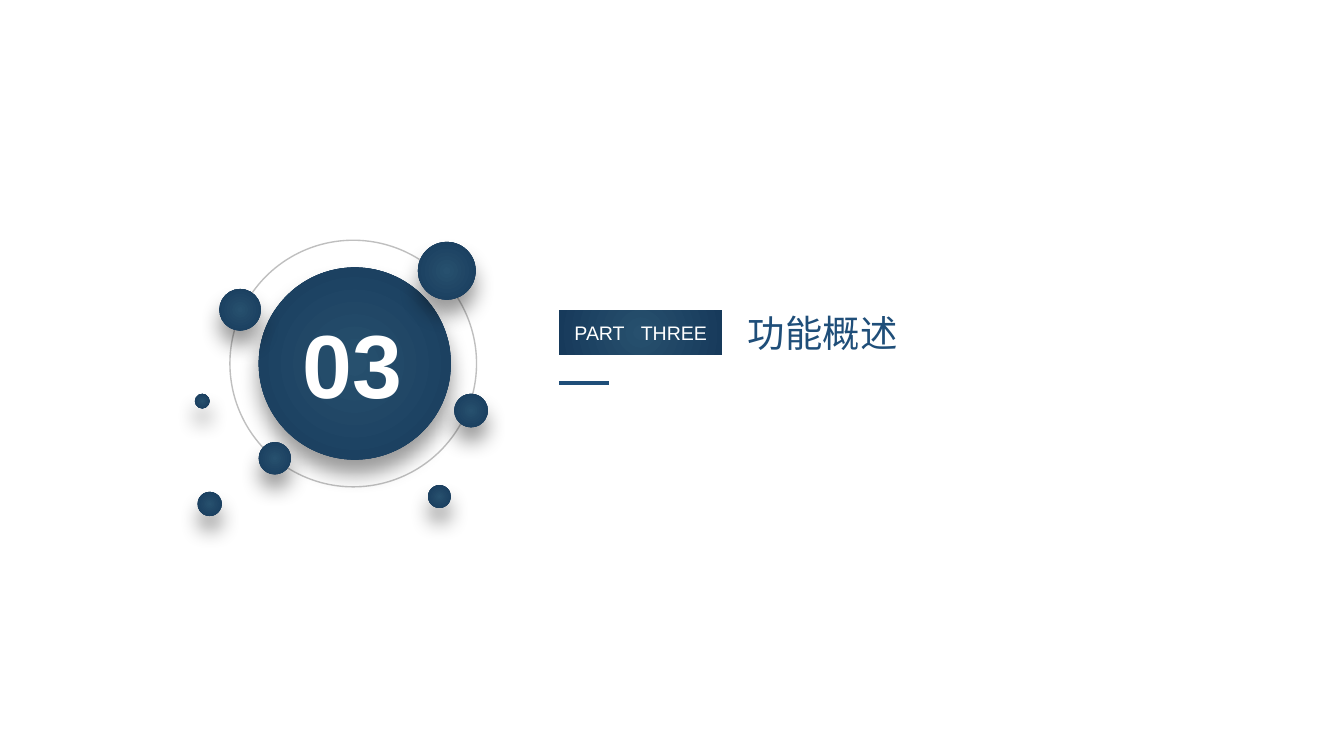
"""Build the section divider slide for part three."""
from dataclasses import dataclass

from lxml.etree import SubElement
from pptx import Presentation
from pptx.dml.color import RGBColor
from pptx.enum.shapes import MSO_CONNECTOR, MSO_SHAPE
from pptx.enum.text import MSO_ANCHOR, MSO_AUTO_SIZE, PP_ALIGN
from pptx.oxml.ns import qn
from pptx.util import Inches, Pt


@dataclass(frozen=True)
class Theme:
    font: str = "Arial"
    glow: str = "27506E"
    edge: str = "173A5B"
    accent: str = "1F4E79"
    orbit: str = "BFBFBF"
    light: str = "FFFFFF"
    shade: str = "000000"
    number_size: float = 48
    title_size: float = 20
    label_size: float = 10.5


THEME = Theme()
WIDTH = Inches(10)
HEIGHT = WIDTH * 9 // 16
UNIT = WIDTH / 100

NUMBER = "03"
TITLE = "功能概述"
LABEL = ["PART", " ", "THREE"]
LABEL_GAP = Pt(5.8)

ORBIT = (26.28, 27.05, 18.35)
DISC = (26.4, 27.05, 14.3)
DOTS = [
    (33.25, 20.15, 4.3),
    (17.87, 23.05, 3.1),
    (15.6, 37.5, 1.8),
    (20.45, 34.1, 2.4),
    (35.05, 30.55, 2.5),
    (32.7, 36.95, 1.7),
    (15.05, 29.85, 1.1),
]
NUMBER_AREA = (21.5, 22.5, 9.5, 9.1)
TITLE_AREA = (54.65, 22.6, 13.5, 4.4)
LABEL_AREA = (41.6, 23.1, 12.15, 3.3)
RULE = (41.6, 28.53, 45.3, 28.53)


def scaled(area):
    return [round(value * UNIT) for value in area]


def colour(code):
    return RGBColor.from_string(code)


def write(box, spans, size, ink, bold=False, align=PP_ALIGN.LEFT,
          anchor=MSO_ANCHOR.TOP, wrap=False, grow=True, gap=0):
    frame = box.text_frame
    frame.word_wrap = wrap
    frame.auto_size = MSO_AUTO_SIZE.SHAPE_TO_FIT_TEXT if grow else MSO_AUTO_SIZE.NONE
    frame.vertical_anchor = anchor
    para = frame.paragraphs[0]
    para.alignment = align
    for text in spans:
        span = para.add_run()
        span.text = text
        span.font.name = THEME.font
        span.font.size = Pt(size)
        span.font.bold = bold
        span.font.color.rgb = colour(ink)
        if gap and text == " ":
            span.font._element.set("spc", str(round(gap.pt * 100)))


def add_plain(shapes, kind, area):
    shape = shapes.add_shape(kind, *scaled(area))
    shape.shadow.inherit = False
    return shape


def add_radial(shapes, kind, area):
    shape = add_plain(shapes, kind, area)
    shape.line.fill.background()
    shape.fill.gradient()
    for stop, code in zip(shape.fill.gradient_stops, (THEME.glow, THEME.edge)):
        stop.color.rgb = colour(code)
    gradient = shape._element.spPr.find(qn("a:gradFill"))
    gradient.remove(gradient.find(qn("a:lin")))
    radial = SubElement(gradient, qn("a:path"), path="circle")
    SubElement(radial, qn("a:fillToRect"), l="50000", t="50000", r="50000", b="50000")
    return shape


def circle_area(circle):
    x, y, diameter = circle
    return x - diameter / 2, y - diameter / 2, diameter, diameter


def add_ball(shapes, circle):
    ball = add_radial(shapes, MSO_SHAPE.OVAL, circle_area(circle))
    effects = ball._element.spPr.find(qn("a:effectLst"))
    shadow = SubElement(effects, qn("a:outerShdw"), blurRad=str(Pt(11)),
                        dist=str(Pt(8)), dir="5400000", algn="t", rotWithShape="0")
    tint = SubElement(shadow, qn("a:srgbClr"), val=THEME.shade)
    SubElement(tint, qn("a:alpha"), val="40000")


def add_rule(shapes, ends):
    rule = shapes.add_connector(MSO_CONNECTOR.STRAIGHT, *scaled(ends))
    rule.line.color.rgb = colour(THEME.accent)
    rule.line.width = Pt(2.25)
    SubElement(rule._element.spPr, qn("a:effectLst"))


def main():
    deck = Presentation()
    deck.slide_width, deck.slide_height = WIDTH, HEIGHT
    page = deck.slides.add_slide(deck.slide_layouts[5])
    shapes = page.shapes

    orbit = add_plain(shapes, MSO_SHAPE.OVAL, circle_area(ORBIT))
    orbit.fill.background()
    orbit.line.color.rgb = colour(THEME.orbit)
    orbit.line.width = Pt(0.75)

    badge = shapes.add_group_shape()
    add_ball(badge.shapes, DISC)
    number = badge.shapes.add_textbox(*scaled(NUMBER_AREA))
    write(number, [NUMBER], THEME.number_size, THEME.light, bold=True,
          align=PP_ALIGN.CENTER)

    title = shapes.title
    title.left, title.top, title.width, title.height = scaled(TITLE_AREA)
    write(title, [TITLE], THEME.title_size, THEME.accent)

    add_rule(shapes, RULE)
    label = add_radial(shapes, MSO_SHAPE.RECTANGLE, LABEL_AREA)
    write(label, LABEL, THEME.label_size, THEME.light, align=PP_ALIGN.CENTER,
          anchor=MSO_ANCHOR.MIDDLE, wrap=True, grow=False, gap=LABEL_GAP)

    for dot in DOTS:
        add_ball(shapes, dot)

    deck.save("out.pptx")


if __name__ == "__main__":
    main()
